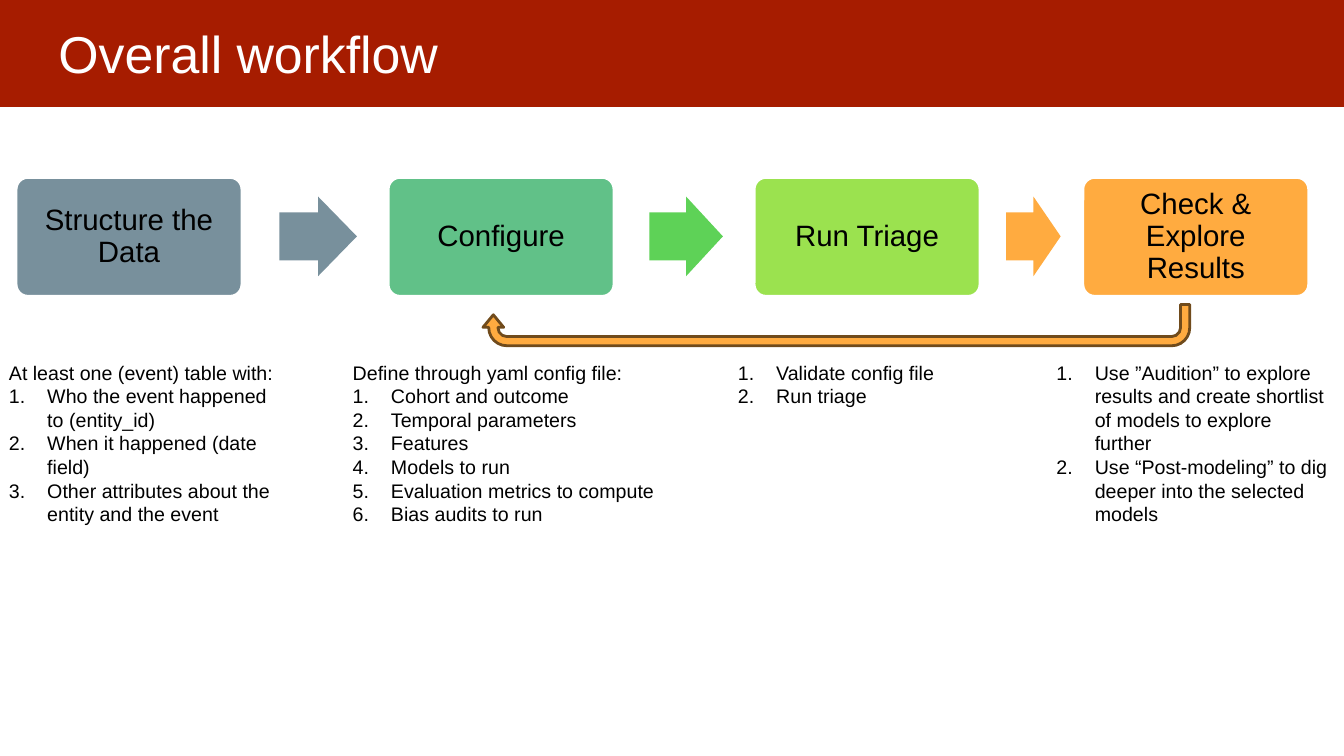
import pptx
import pptx.util
import pptx.dml.color
import pptx.enum.shapes
import pptx.enum.text
import pptx.oxml

Inches, Pt = pptx.util.Inches, pptx.util.Pt
RGBColor = pptx.dml.color.RGBColor
MSO_SHAPE = pptx.enum.shapes.MSO_SHAPE
PP_ALIGN = pptx.enum.text.PP_ALIGN
MSO_ANCHOR = pptx.enum.text.MSO_ANCHOR

RED = RGBColor(0xA6, 0x1C, 0x00)
SLATE = RGBColor(0x78, 0x90, 0x9C)
TEAL = RGBColor(0x61, 0xC1, 0x88)
GREEN = RGBColor(0x5E, 0xD2, 0x57)
LIME = RGBColor(0x9B, 0xE2, 0x4F)
ORANGE = RGBColor(0xFF, 0xAB, 0x40)
BROWN = RGBColor(0x70, 0x4B, 0x1C)
BLACK = RGBColor(0, 0, 0)
WHITE = RGBColor(0xFF, 0xFF, 0xFF)

TITLE = "Overall workflow"
# label, left, colour
STEPS = [
    ("Structure the Data", 0.16, SLATE),
    ("Configure", 3.85, TEAL),
    ("Run Triage", 7.48, LIME),
    ("Check & Explore Results", 10.74, ORANGE),
]
# left, width, colour
ARROWS = [(2.77, 0.77, SLATE), (6.44, 0.73, GREEN), (9.98, 0.54, ORANGE)]
# left, width, height, lead-in line, numbered items
DETAILS = [
    (-0.01, 2.91, 1.75, "At least one (event) table with:", [
        "Who the event happened to (entity_id)",
        "When it happened (date field)",
        "Other attributes about the entity and the event"]),
    (3.4, 3.24, 1.75, "Define through yaml config file:", [
        "Cohort and outcome", "Temporal parameters", "Features",
        "Models to run", "Evaluation metrics to compute",
        "Bias audits to run"]),
    (7.22, 3.24, 0.57, None, ["Validate config file", "Run triage"]),
    (10.38, 2.91, 1.75, None, [
        "Use ”Audition” to explore results and create shortlist of models "
        "to explore further",
        "Use “Post-modeling” to dig deeper into the selected models"]),
]
BOX_TOP, BOX_W, BOX_H = 1.76, 2.24, 1.18
ARROW_TOP, ARROW_H = 1.95, 0.79
DETAIL_TOP = 3.53
INDENT = 0.38


def write(p, text, size, color=BLACK, align=PP_ALIGN.LEFT, spacing=None,
          numbered=False):
    if numbered:
        pPr = p._p.get_or_add_pPr()
        pPr.set("marL", str(Inches(INDENT)))
        pPr.set("indent", str(-Inches(INDENT)))
        pPr.append(pptx.oxml.parse_xml(
            '<a:buAutoNum xmlns:a="http://schemas.openxmlformats.org/'
            'drawingml/2006/main" type="arabicPeriod"/>'))
    p.alignment = align
    if spacing:
        p.line_spacing = spacing
    r = p.add_run()
    r.text = text
    r.font.name, r.font.size, r.font.color.rgb = "Arial", Pt(size), color


def set_insets(tf, inset):
    tf.margin_left = tf.margin_right = Inches(inset)
    tf.margin_top = tf.margin_bottom = Inches(inset)


def add_block(slide, kind, box, fill, line=None, adj=()):
    sp = slide.shapes.add_shape(kind, *map(Inches, box))
    sp.shadow.inherit = False
    sp.fill.solid()
    sp.fill.fore_color.rgb = fill
    if line is None:
        sp.line.fill.background()
    else:
        sp.line.color.rgb = line
        sp.line.width = Pt(2)
    for i, value in enumerate(adj):
        sp.adjustments[i] = value
    return sp


def add_title(slide):
    banner = add_block(slide, MSO_SHAPE.RECTANGLE, (-0.02, -0.04, 13.36, 1.1), RED)
    title = slide.shapes.title
    title._element.addprevious(banner._element)
    title.left, title.top = Inches(0.45), Inches(0.09)
    title.width, title.height = Inches(12.42), Inches(0.83)
    tf = title.text_frame
    tf.auto_size = pptx.enum.text.MSO_AUTO_SIZE.NONE
    tf.vertical_anchor = MSO_ANCHOR.TOP
    set_insets(tf, 0.13)
    write(tf.paragraphs[0], TITLE, 37, WHITE)


def add_details(slide, left, width, height, lead, items):
    sp = slide.shapes.add_textbox(*map(Inches, (left, DETAIL_TOP, width, height)))
    tf = sp.text_frame
    tf.word_wrap = True
    lines = [(lead, False)] if lead else []
    lines += [(item, True) for item in items]
    for i, (text, numbered) in enumerate(lines):
        p = tf.add_paragraph() if i else tf.paragraphs[0]
        write(p, text, 14, numbered=numbered)


def main():
    prs = pptx.Presentation()
    prs.slide_width, prs.slide_height = Inches(13.33), Inches(7.5)
    slide = prs.slides.add_slide(prs.slide_layouts[5])
    add_title(slide)
    for label, left, color in STEPS:
        sp = add_block(slide, MSO_SHAPE.ROUNDED_RECTANGLE,
                       (left, BOX_TOP, BOX_W, BOX_H), color, WHITE, [0.1])
        tf = sp.text_frame
        tf.word_wrap = True
        tf.vertical_anchor = MSO_ANCHOR.MIDDLE
        set_insets(tf, 0.09)
        write(tf.paragraphs[0], label, 21, align=PP_ALIGN.CENTER, spacing=0.9)
    for left, width, color in ARROWS:
        add_block(slide, MSO_SHAPE.RIGHT_ARROW,
                  (left, ARROW_TOP, width, ARROW_H), color, adj=[0.6, 0.5])
    for detail in DETAILS:
        add_details(slide, *detail)
    feedback = add_block(slide, MSO_SHAPE.U_TURN_ARROW, (4.79, 3.02, 7.01, 0.41),
                         ORANGE, BROWN, [0.223, 0.25, 0.304, 0.438, 0.75])
    feedback.rotation = 180
    prs.save("out.pptx")


if __name__ == "__main__":
    main()
